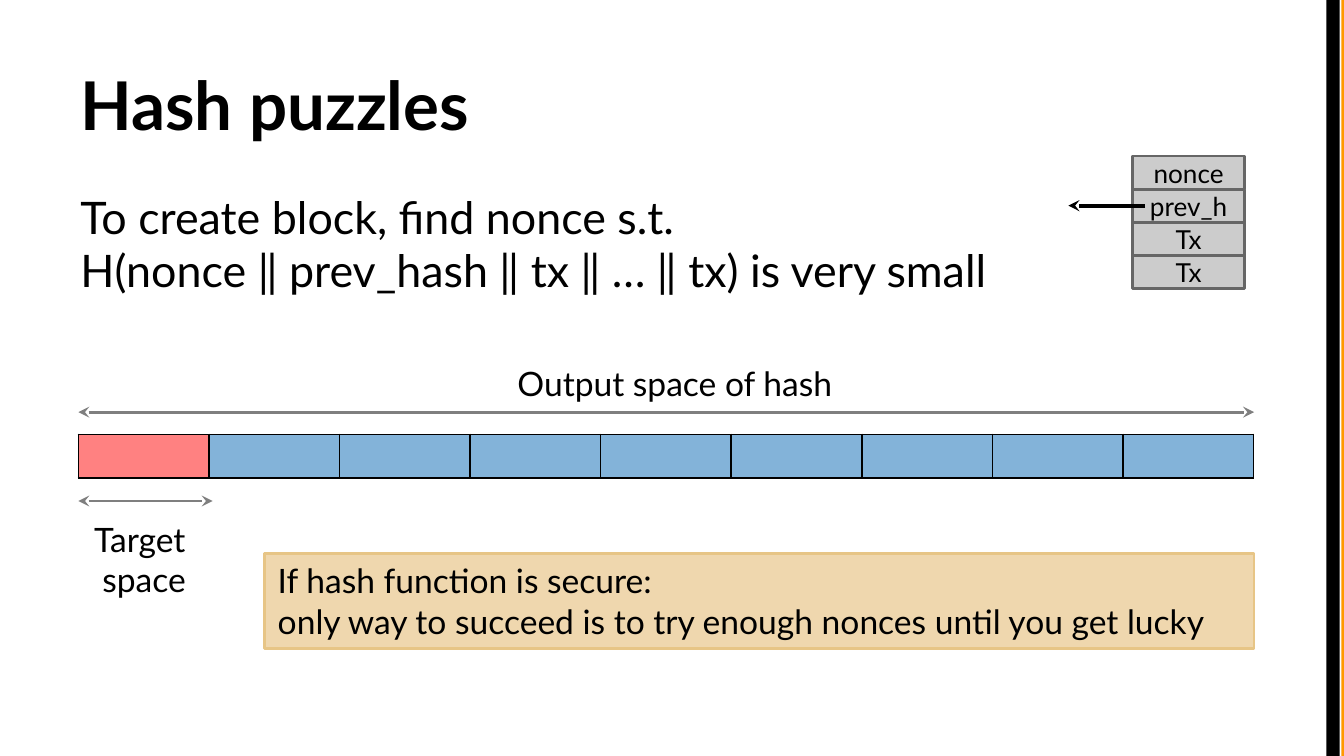
from dataclasses import dataclass

from lxml import etree
from pptx import Presentation
from pptx import util as u
from pptx.dml import color
from pptx.enum import shapes, text
from pptx.oxml import ns

FONT = "Lato"
COLORS = {
    "text": "000000", "edge": "000000", "accent": "FF9900",
    "target": "FF8181", "space": "83B3D9", "arrow": "7F7F7F",
    "note": "EFD7AE", "note_line": "E7C586",
    "field": "CCCCCC", "field_line": "666666",
}
LEFT, CENTER = text.PP_ALIGN.LEFT, text.PP_ALIGN.CENTER
TOP, MIDDLE, BOTTOM = (text.MSO_ANCHOR.TOP, text.MSO_ANCHOR.MIDDLE,
                       text.MSO_ANCHOR.BOTTOM)


@dataclass
class Box:
    """A region of the slide, in centimetres."""
    left: float
    top: float
    width: float
    height: float

    def lengths(self):
        return [u.Cm(v) for v in (self.left, self.top, self.width, self.height)]


def rgb(name):
    return color.RGBColor.from_string(COLORS[name])


def sub(parent, tag, **attributes):
    return etree.SubElement(parent, ns.qn(tag), **attributes)


def write(shape, lines, size, align=LEFT, anchor=TOP, margins=(0.25, 0.13), bold=False):
    """Fill a shape with one paragraph per line."""
    frame = shape.text_frame
    frame.word_wrap = True
    frame.auto_size = text.MSO_AUTO_SIZE.NONE
    frame.vertical_anchor = anchor
    frame.margin_left = frame.margin_right = u.Cm(margins[0])
    frame.margin_top = frame.margin_bottom = u.Cm(margins[1])
    for index, line in enumerate(lines):
        paragraph = frame.add_paragraph() if index else frame.paragraphs[0]
        paragraph.alignment = align
        paragraph.space_before = u.Pt(0)
        run = paragraph.add_run()
        run.text = line
        run.font.name, run.font.size, run.font.bold = FONT, u.Pt(size), bold
        run.font.color.rgb = rgb("text")


def add_rectangle(parent, box, fill, line=None):
    shape = parent.add_shape(shapes.MSO_SHAPE.RECTANGLE, *box.lengths())
    shape.shadow.inherit = False
    shape.fill.solid()
    shape.fill.fore_color.rgb = rgb(fill)
    if line:
        shape.line.color.rgb = rgb(line)
        shape.line.width = u.Pt(1.5)
    else:
        shape.line.fill.background()
    return shape


def add_label(slide, box, lines, align=LEFT):
    write(slide.shapes.add_textbox(*box.lengths()), lines, 18, align)


def add_arrow(parent, start, end, y, line, width, ends):
    """Draw a horizontal arrow with stealth heads at the given ends."""
    arrow = parent.add_connector(shapes.MSO_CONNECTOR.STRAIGHT,
                                 u.Cm(start), u.Cm(y), u.Cm(end), u.Cm(y))
    arrow.line.color.rgb = rgb(line)
    arrow.line.width = u.Pt(width)
    for tag in ends:
        sub(arrow.line._get_or_add_ln(), tag, type="stealth")
    sub(arrow._element.spPr, "a:effectLst")


def add_side_bars(slide, box):
    # The black bar lies left of the orange one at the slide edge
    for offset, fill in ((0.28, "accent"), (0, "edge")):
        add_rectangle(slide.shapes,
                      Box(box.left + offset, box.top, box.width, box.height), fill)


def add_heading(slide, box, line):
    title = slide.shapes.title
    title.left, title.top, title.width, title.height = box.lengths()
    write(title, [line], 36, anchor=BOTTOM, margins=(0.25, 0.25), bold=True)


def add_body(slide, box, lines):
    body = slide.placeholders[1]
    body.left, body.top, body.width, body.height = box.lengths()
    write(body, lines, 24, margins=(0.25, 0.25))
    for paragraph in body.text_frame.paragraphs:
        properties = paragraph._p.get_or_add_pPr()
        properties.set("marL", "0")
        properties.set("indent", "0")
        sub(properties, "a:buNone")


def add_border(cell):
    properties = cell._tc.get_or_add_tcPr()
    for side in ("a:lnL", "a:lnR", "a:lnT", "a:lnB"):
        line = sub(properties, side, w=str(u.Pt(1)))
        sub(sub(line, "a:solidFill"), "a:srgbClr", val=COLORS["edge"])


def add_hash_space(slide, box, count):
    """Output space as a strip of equal cells, with its two measures."""
    # Strip
    strip = Box(box.left, box.top + 1.48, box.width, 0.82)
    table = slide.shapes.add_table(1, count, *strip.lengths()).table
    table.first_row = table.horz_banding = False
    for index in range(count):
        table.columns[index].width = u.Cm(box.width / count)
        cell = table.cell(0, index)
        cell.margin_top = cell.margin_bottom = 0
        add_border(cell)
        cell.fill.solid()
        cell.fill.fore_color.rgb = rgb("space" if index else "target")

    # Measures above and below
    both = ("a:headEnd", "a:tailEnd")
    right = box.left + box.width
    add_arrow(slide.shapes, box.left, right, box.top + 1.06, "arrow", 1.5, both)
    add_arrow(slide.shapes, box.left, box.left + 2.54, box.top + 2.74,
              "arrow", 1.5, both)
    add_label(slide, Box(box.left + 8.05, box.top, 6.58, 1.02),
              ["Output space of hash"])
    add_label(slide, Box(box.left - 0.05, box.top + 2.95, 2.59, 1.8),
              ["Target ", "space"], CENTER)


def add_note(slide, box, lines):
    write(add_rectangle(slide.shapes, box, "note", "note_line"), lines, 18)


def add_block(slide, box, fields):
    """Block of stacked fields, with a pointer to the previous block."""
    group = slide.shapes.add_group_shape().shapes
    height = box.height / len(fields)
    for index, field in enumerate(fields):
        row = Box(box.left, box.top + index * height, box.width, height)
        write(add_rectangle(group, row, "field", "field_line"), [field], 14,
              CENTER, MIDDLE, margins=(0.1, 0))
    add_arrow(group, box.left + 0.23, box.left - 1.22, box.top + 1.5 * height,
              "edge", 2, ["a:tailEnd"])


def main():
    presentation = Presentation()
    presentation.slide_width, presentation.slide_height = u.Cm(25.4), u.Cm(14.29)
    slide = presentation.slides.add_slide(presentation.slide_layouts[1])

    add_side_bars(slide, Box(25.07, 0, 0.25, 14.29))
    add_heading(slide, Box(1.27, 0.58, 22.86, 2.39), "Hash puzzles")
    add_body(slide, Box(1.27, 3.33, 22.86, 10.34), [
        "To create block, find nonce s.t.",
        "H(nonce ‖ prev_hash ‖ tx ‖ … ‖ tx) is very small"])
    add_hash_space(slide, Box(1.48, 6.73, 22.22, 4.75), 9)
    add_note(slide, Box(5, 10.46, 18.7, 1.8), [
        "If hash function is secure:",
        "only way to succeed is to try enough nonces until you get lucky"])
    add_block(slide, Box(21.41, 2.95, 2.11, 2.5), ["nonce", "prev_h", "Tx", "Tx"])

    presentation.save("out.pptx")


if __name__ == "__main__":
    main()
